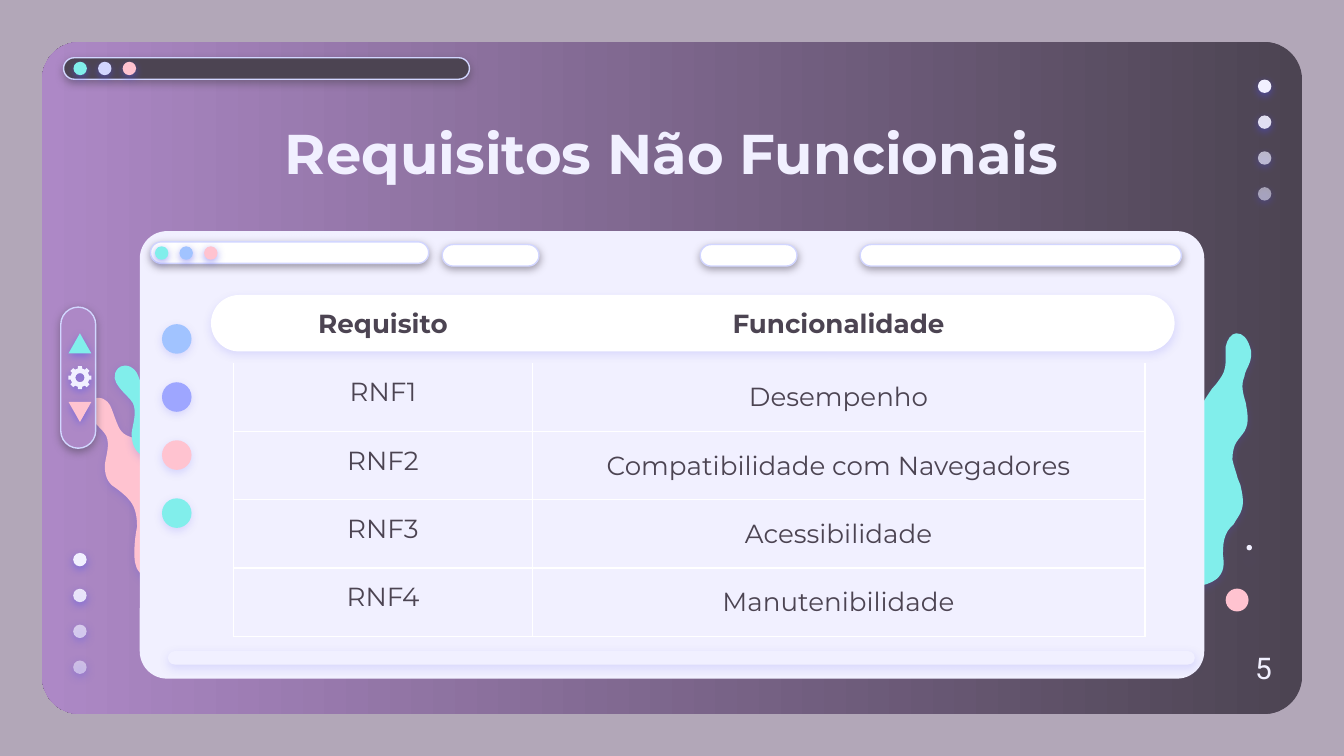
from math import cos, pi, sin

from lxml import etree
from pptx import Presentation
from pptx.dml.color import RGBColor
from pptx.enum.shapes import MSO_SHAPE
from pptx.enum.text import MSO_ANCHOR, PP_ALIGN
from pptx.oxml.ns import qn
from pptx.util import Emu, Inches, Pt

PILL, OVAL, TRI = MSO_SHAPE.ROUNDED_RECTANGLE, MSO_SHAPE.OVAL, MSO_SHAPE.ISOSCELES_TRIANGLE
TOP, MID = MSO_ANCHOR.TOP, MSO_ANCHOR.MIDDLE
LEFT, CENTER = PP_ALIGN.LEFT, PP_ALIGN.CENTER

WIDE, HIGH = Inches(10), Inches(5.625)
CELL = WIDE // 100  # the grid has 100 columns; rows are as tall as columns are wide

HUE = {
    "back": "B2A7B8", "dark": "4C4452", "mauve": "AD88C6", "pale": "F1F0FF",
    "white": "FFFFFF", "edge": "D2D6FF", "teal": "81EEEB", "pink": "FFC3D0",
    "sky": "A1C3FF", "iris": "9EA6FF", "glow": "5352EE",
}
SANS, DIGIT = "Montserrat", "Roboto"

ROWS = [
    ("Requisito", "Funcionalidade"),
    ("RNF1", "Desempenho"),
    ("RNF2", "Compatibilidade com Navegadores"),
    ("RNF3", "Acessibilidade"),
    ("RNF4", "Manutenibilidade"),
]

# Each blob is a start point, then two handles and an end point for each curve.
RIGHT_BLOB = [
    (92, 24.8), (91.6, 24.8), (91.3, 25.3), (91.2, 25.8), (91.2, 26), (91.2, 26.3), (91.2, 26.6),
    (91.2, 27.1), (91.2, 27.5), (90.9, 28), (90.7, 28.3), (90.5, 28.6), (90.2, 28.9),
    (90.1, 29.1), (89.9, 29.3), (89.8, 29.5), (89.3, 30.2), (89.1, 31.1), (89.3, 32.1),
    (89.4, 33), (89.2, 33.6), (88.5, 34.5), (87.9, 35.2), (87.2, 35.9), (87.4, 37),
    (87.5, 37.4), (87.7, 37.7), (87.8, 38.1), (88.1, 38.7), (88.4, 39.4), (88.2, 40.1),
    (88.2, 40.3), (88.1, 40.5), (88, 40.7), (87.6, 41.5), (87.5, 42), (87.6, 42.5),
    (87.7, 42.8), (87.9, 43.1), (88.2, 43.3), (88.4, 43.5), (88.7, 43.6), (89, 43.6),
    (89.5, 43.6), (90.1, 43.4), (90.5, 43.1), (91.1, 42.6), (91.1, 42), (91, 41.3),
    (91, 40.7), (91, 40.2), (91.3, 39.6), (91.4, 39.4), (91.6, 39.2), (91.8, 39),
    (92, 38.6), (92.3, 38.3), (92.4, 37.9), (92.6, 37.3), (92.4, 36.6), (92.3, 36.1),
    (92.2, 35.9), (92.2, 35.8), (92.1, 35.6), (92, 35.2), (91.8, 34.7), (91.7, 34.2),
    (91.7, 33.7), (91.8, 33.2), (92, 32.9), (92.2, 32.6), (92.4, 32.4), (92.6, 32.1),
    (93, 31.4), (92.8, 30.7), (92.7, 30), (92.5, 29.3), (92.3, 28.7), (92.6, 28),
    (92.6, 27.8), (92.8, 27.4), (92.9, 27.2), (93.1, 26.8), (93.2, 26.2), (93, 25.8),
    (92.8, 25.2), (92.5, 24.8), (92, 24.8),
]
LEFT_BLOB = [
    (7.3, 29.6), (7.1, 29.6), (6.9, 29.7), (6.8, 29.8), (5.9, 30.8), (7.5, 31.7), (7.9, 32.4),
    (8.2, 33.1), (7.9, 33.9), (7.8, 34.6), (7.8, 35.2), (7.9, 35.9), (8.6, 36.3),
    (9, 36.6), (9.4, 36.9), (9.7, 37.3), (10.1, 37.8), (10.2, 38.5), (10.2, 39.2),
    (10.1, 39.7), (10, 40.4), (10, 41.1), (10, 41.5), (10, 42.2), (10.4, 42.6),
    (10.8, 43.1), (11.3, 43.4), (11.7, 43.7), (12.2, 43.7), (12.7, 43.7), (13.2, 43.5),
    (14.2, 43.3), (15.1, 42.6), (15.5, 41.6), (16.2, 40.1), (15.7, 38.2), (14.3, 37.3),
    (13.9, 37), (13.5, 36.9), (13.2, 36.5), (12.7, 35.9), (12.5, 34.8), (12.3, 34.2),
    (11.3, 32.1), (9.6, 33.1), (8.9, 31.9), (8.6, 31.3), (8.5, 30.9), (8.3, 30.4),
    (8.2, 30.1), (7.9, 29.6), (7.3, 29.6),
]


def grid(n):
    return Emu(round(n * CELL))


def rgb(name):
    return RGBColor.from_string(HUE[name])


def tint(parent, name, alpha):
    color = etree.SubElement(parent, qn("a:srgbClr"), val=HUE[name])
    etree.SubElement(color, qn("a:alpha"), val=str(alpha * 1000))


def shade(shape, name, alpha, blur=4.5, drop=1.5):
    """Cast a soft shadow straight down."""
    effects = shape._element.spPr.find(qn("a:effectLst"))
    outer = etree.SubElement(
        effects, qn("a:outerShdw"), blurRad=str(Pt(blur)), dist=str(Pt(drop)),
        dir="5400000", algn="bl", rotWithShape="0")
    tint(outer, name, alpha)


def paint(shape, fill, edge=None, glow=None, alpha=100):
    shape.shadow.inherit = False
    shape.fill.solid()
    shape.fill.fore_color.rgb = rgb(fill)
    if alpha < 100:
        color = shape.fill._xPr.find(qn("a:solidFill"))[0]
        etree.SubElement(color, qn("a:alpha"), val=str(alpha * 1000))
    if edge:
        shape.line.color.rgb = rgb(edge)
        shape.line.width = Pt(0.75)
    else:
        shape.line.fill.background()
    if glow:
        shade(shape, *glow)
    return shape


def place(slide, kind, box, fill, turn=0, **look):
    shape = slide.shapes.add_shape(kind, *map(grid, box))
    shape.rotation = turn
    return paint(shape, fill, **look)


def pill(slide, box, fill, bend=0.5, **look):
    shape = place(slide, PILL, box, fill, **look)
    shape.adjustments[0] = bend
    return shape


def dots(slide, x, y, size, step, fills, alphas=(100,) * 4, glow=50):
    """Lay a run of dots; step is the (across, down) gap between starts."""
    for i, (fill, alpha) in enumerate(zip(fills, alphas)):
        box = (x + i * step[0], y + i * step[1], size, size)
        place(slide, OVAL, box, fill, alpha=alpha, glow=("glow", glow))


def outline(slide, loops, fill, glow):
    loops = [[(grid(x), grid(y)) for x, y in loop] for loop in loops]
    pen = slide.shapes.build_freeform(*loops[0][0], scale=1.0)
    for i, loop in enumerate(loops):
        if i:
            pen.move_to(*loop[0])
        pen.add_line_segments(loop[1:], close=True)
    return paint(pen.convert_to_shape(), fill, glow=("glow", glow))


def blob(slide, points, fill, glow):
    """Turn every three straight segments of an outline into one cubic curve."""
    shape = outline(slide, [points], fill, glow)
    lines = list(shape._element.spPr.iter(qn("a:lnTo")))[:len(points) - 1]
    for i in range(0, len(lines), 3):
        curve = etree.Element(qn("a:cubicBezTo"))
        lines[i].addprevious(curve)
        for line in lines[i:i + 3]:
            curve.append(line[0])
            line.getparent().remove(line)


def gear(slide, x, y):
    def spot(radius, turn):
        return x + radius * cos(turn), y + radius * sin(turn)

    teeth = [spot(radius, (i + part) * pi / 4) for i in range(8)
             for part, radius in ((-0.29, 0.7), (-0.22, 0.87), (0.22, 0.87), (0.29, 0.7))]
    hole = [spot(0.34, -i * pi / 6) for i in range(12)]
    outline(slide, [teeth, hole], "pale", 52)


def write(frame, text, size, color, font=SANS, bold=False, align=CENTER):
    para = frame.paragraphs[0]
    para.alignment = align
    run = para.add_run()
    run.text = text
    run.font.size, run.font.name, run.font.bold = Pt(size), font, bold
    run.font.color.rgb = rgb(color)


def label(slide, box, *words, **look):
    frame = slide.shapes.add_textbox(*map(grid, box)).text_frame
    frame.word_wrap = True
    frame.margin_left = frame.margin_right = frame.margin_top = frame.margin_bottom = grid(1)
    write(frame, *words, **look)


def rule(cell, sides):
    """Draw white borders on the named sides and clear the others."""
    props = cell._tc.get_or_add_tcPr()
    for side in "LRTB":
        line = etree.SubElement(props, qn("a:ln" + side), w=str(Pt(0.75)))
        if side in sides:
            tint(etree.SubElement(line, qn("a:solidFill")), "white", 100)
        else:
            etree.SubElement(line, qn("a:noFill"))


def table(slide, x, y, cols, row):
    frame = slide.shapes.add_table(
        len(ROWS), len(cols), *map(grid, (x, y, sum(cols), row * len(ROWS))))
    sheet = frame.table
    sheet.first_row = sheet.horz_banding = False
    for col, width in zip(sheet.columns, cols):
        col.width = grid(width)
    for r, words in enumerate(ROWS):
        sheet.rows[r].height = grid(row)
        for c, text in enumerate(words):
            cell = sheet.cell(r, c)
            center = r > 0 and c == 1
            rule(cell, "" if r == 0 else "LRB" if r == 1 else "LRTB")
            cell.fill.background()
            cell.vertical_anchor = MID if center else TOP
            cell.margin_left = cell.margin_right = grid(1)
            cell.margin_top = cell.margin_bottom = grid(0.7 if center else 1)
            write(cell.text_frame, text, 14, "dark", bold=r == 0)


def backdrop(slide):
    slide.background.fill.solid()
    slide.background.fill.fore_color.rgb = rgb("back")
    panel = pill(slide, (3.13, 3.13, 93.75, 50), "dark", bend=0.056)
    panel.fill.gradient()
    panel.fill.gradient_angle = 180
    for stop, name, spot in zip(panel.fill.gradient_stops, ("dark", "mauve"), (0, 1)):
        stop.color.rgb, stop.position = rgb(name), spot
    pill(slide, (4.73, 4.3, 30.2, 1.6), "dark", edge="edge", glow=("dark", 50))
    dots(slide, 5.47, 4.6, 1, (1.83, 0), ("teal", "edge", "pink"))
    for x, y in ((93.6, 5.92), (5.45, 41.14)):
        dots(slide, x, y, 1, (0, 2.67), ["pale"] * 4, (100, 90, 67, 54))


def splashes(slide):
    blob(slide, RIGHT_BLOB, "teal", 18)
    for fill, across, up in (("pink", 0, 0), ("teal", 2, 2.4)):
        blob(slide, [(x + across, y - up) for x, y in LEFT_BLOB], fill, 22)
    place(slide, OVAL, (91.2, 43.8, 1.7, 1.7), "pink")
    place(slide, OVAL, (92.75, 40.55, 0.4, 0.4), "pale", glow=("glow", 38, 12.4, 6.8))


def window(slide):
    pill(slide, (10.4, 17.2, 79.2, 33.3), "pale", bend=0.061)
    dots(slide, 12.05, 24.12, 2.2, (0, 4.32), ("sky", "iris", "pink", "teal"), glow=16)
    pill(slide, (12.5, 48.45, 76.4, 1), "pale", glow=("glow", 15))
    for x, y, width in ((11.2, 18, 20.7), (32.9, 18.2, 7.2), (52.1, 18.2, 7.2), (64, 18.2, 23.9)):
        pill(slide, (x, y, width, 1.6), "white", edge="edge", glow=("dark", 50))
    pill(slide, (15.7, 21.95, 71.7, 4.2), "white", glow=("glow", 15))
    table(slide, 17.4, 21.95, (22.2, 45.6), 5.08)
    dots(slide, 11.53, 18.33, 1, (1.83, 0), ("teal", "sky", "pink"))


def scroller(slide):
    for y, fill, turn in ((24.8, "teal", 0), (29.9, "pink", 180)):
        place(slide, TRI, (5.1, y, 1.7, 1.5), fill, turn=turn, glow=("glow", 50))
    gear(slide, 5.95, 28.1)


def main():
    deck = Presentation()
    deck.slide_width, deck.slide_height = WIDE, HIGH
    slide = deck.slides.add_slide(deck.slide_layouts[6])
    backdrop(slide)
    splashes(slide)
    pill(slide, (0.57, 26.8, 10.5, 2.6), "mauve", turn=90, edge="edge", glow=("dark", 50))
    window(slide)
    label(slide, (7.85, 7.8, 84.3, 6.3), "Requisitos Não Funcionais", 30, "pale", bold=True)
    scroller(slide)
    label(slide, (92.4, 47.35, 3.2, 3.4), "5", 16, "pale", font=DIGIT, align=LEFT)
    deck.save("out.pptx")


if __name__ == "__main__":
    main()
